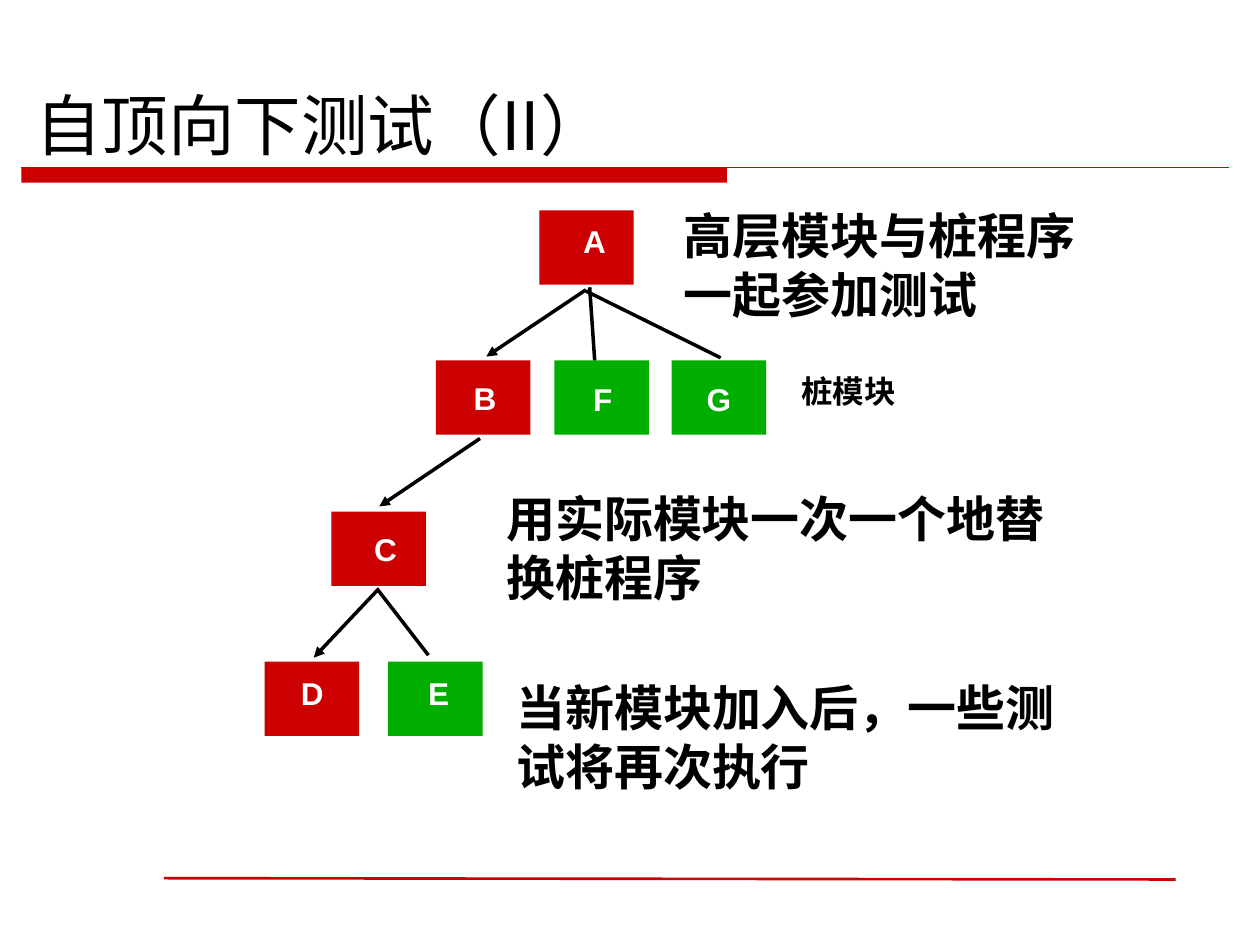
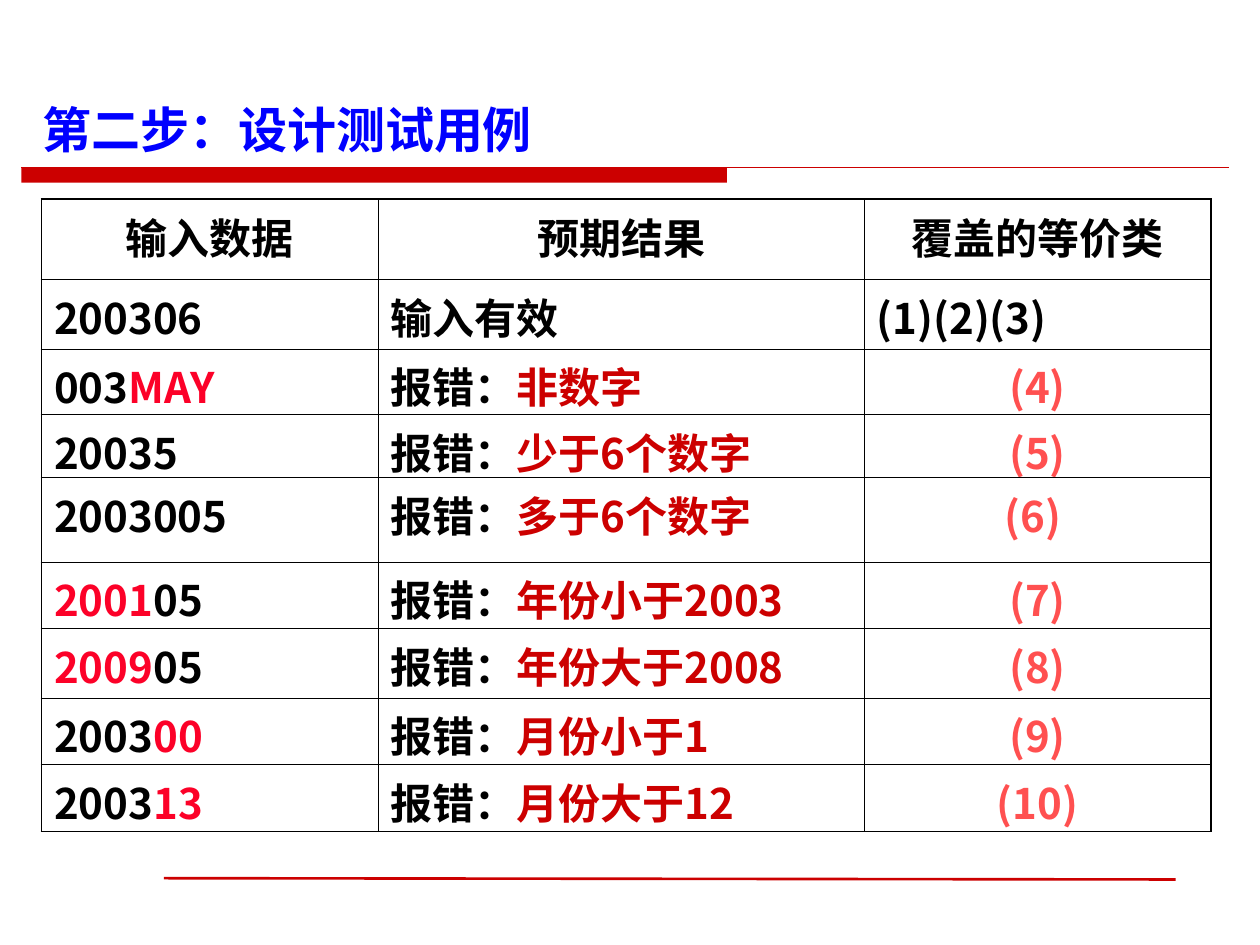
import pptx
import pptx.dml.color
import pptx.enum.shapes
import pptx.enum.text
import pptx.oxml
import pptx.oxml.ns
import pptx.util
from pptx.util import Inches

ALIGN = pptx.enum.text.PP_ALIGN
ANCHOR = pptx.enum.text.MSO_ANCHOR
RECT = pptx.enum.shapes.MSO_SHAPE.RECTANGLE
STRAIGHT = pptx.enum.shapes.MSO_CONNECTOR.STRAIGHT

RED, GREEN, BLUE = "CC0000", "00AE00", "0000FF"
BLACK, WHITE = "000000", "FFFFFF"
BRIGHT, CORAL = "FC0128", "FF5050"
SANS, NOTO, COMIC = "Arial", "Noto Sans CJK SC", "Comic Neue"


def shade(code):
    return pptx.dml.color.RGBColor.from_string(code)


def node(tag, inner="", **attrs):
    words = "".join(f' {key}="{val}"' for key, val in attrs.items())
    space = pptx.oxml.ns.nsdecls("a")
    return pptx.oxml.parse_xml(f"<a:{tag} {space}{words}>{inner}</a:{tag}>")


def write(frame, parts, size=18, font=SANS, color=BLACK, bold=True, align=ALIGN.LEFT):
    """Fill a frame with one string or a list of (text, format) runs."""
    para = frame.paragraphs[0]
    para.alignment = align
    if isinstance(parts, str):
        parts = [(parts, {})]
    for text, own in parts:
        run = para.add_run()
        run.text = text
        run.font.size = pptx.util.Pt(size)
        run.font.bold = bold
        run.font.name = own.get("font", font)
        run.font.color.rgb = shade(own.get("color", color))


class Deck:
    """Holds the shared style and the current slide."""

    def __init__(self):
        self.show = pptx.Presentation()
        self.show.slide_width, self.show.slide_height = Inches(10), Inches(7.5)

    def page(self, title, box, **style):
        self.slide = self.show.slides.add_slide(self.show.slide_layouts[6])
        self.block(0.17, 1.33, 5.6, 0.12, RED)
        self.line((0.17, 1.33), (9.75, 1.33), RED, 0.75)
        self.line((1.3, 6.97), (9.33, 6.98), RED, 1.5)
        self.text(title, *box, anchor=ANCHOR.BOTTOM, font=NOTO, **style)

    def block(self, x, y, w, h, color):
        shape = self.slide.shapes.add_shape(RECT, Inches(x), Inches(y), Inches(w), Inches(h))
        shape.shadow.inherit = False
        shape.fill.solid()
        shape.fill.fore_color.rgb = shade(color)
        shape.line.fill.background()

    def line(self, start, end, color=BLACK, width=2, arrow=False):
        ends = [Inches(v) for v in (*start, *end)]
        link = self.slide.shapes.add_connector(STRAIGHT, *ends)
        link.line.color.rgb = shade(color)
        link.line.width = pptx.util.Pt(width)
        if arrow:
            link.line._get_or_add_ln().append(node("tailEnd", type="triangle"))
        link._element.spPr.append(node("effectLst"))

    def text(self, parts, x, y, w, h, wrap=True, anchor=ANCHOR.TOP, **style):
        box = self.slide.shapes.add_textbox(Inches(x), Inches(y), Inches(w), Inches(h))
        frame = box.text_frame
        frame.word_wrap = wrap
        frame.vertical_anchor = anchor
        write(frame, parts, **style)

    def table(self, x, y, widths, heights, rows):
        high, wide = len(heights), len(widths)
        frame = self.slide.shapes.add_table(
            high, wide, Inches(x), Inches(y), Inches(sum(widths)), Inches(sum(heights)))
        grid = frame.table
        for col, width in zip(grid.columns, widths):
            col.width = Inches(width)
        for row, height in zip(grid.rows, heights):
            row.height = Inches(height)
        for i, row in enumerate(rows):
            for j, (parts, style) in enumerate(row):
                cell = grid.cell(i, j)
                cell.fill.background()
                cell.margin_left = cell.margin_right = Inches(0.1)
                write(cell.text_frame, parts, size=24, **style)
                outer = {"L": j == 0, "R": j == wide - 1, "T": i == 0, "B": i == high - 1}
                self.frame(cell, outer)

    def frame(self, cell, outer):
        props = cell._tc.get_or_add_tcPr()
        fill = f'<a:solidFill><a:srgbClr val="{BLACK}"/></a:solidFill>'
        for spot, (side, edge) in enumerate(outer.items()):
            width = pptx.util.Pt(1.08 if edge else 0.45)
            props.insert(spot, node("ln" + side, fill, w=int(width)))


def tree(deck):
    deck.page("自顶向下测试（II）", (0.18, 0.52, 6.73, 0.83), size=38, bold=False)
    blocks = [
        ("A", 4.28, 1.67, RED, 4.53, 1.71), ("B", 3.46, 2.86, RED, 3.66, 2.96),
        ("C", 2.63, 4.06, RED, 2.87, 4.16), ("D", 2.1, 5.25, RED, 2.29, 5.3),
        ("E", 3.08, 5.25, GREEN, 3.3, 5.3), ("F", 4.4, 2.86, GREEN, 4.61, 2.97),
        ("G", 5.33, 2.86, GREEN, 5.51, 2.97),
    ]
    for name, x, y, color, left, top in blocks:
        deck.block(x, y, 0.75, 0.59, color)
        deck.text(name, left, top, 0.38, 0.4, wrap=False, color=WHITE)
    for start, end, arrow in [
        ((2.99, 4.67), (3.4, 5.2), False), ((4.68, 2.28), (4.72, 2.86), False),
        ((4.65, 2.31), (5.72, 2.84), False), ((4.65, 2.3), (3.86, 2.83), True),
        ((3.81, 3.48), (3.01, 4.02), True), ((2.99, 4.69), (2.49, 5.22), True),
    ]:
        deck.line(start, end, arrow=arrow)
    for note, x, y, width in [
        ("高层模块与桩程序一起参加测试", 5.33, 1.58, 3.33),
        ("用实际模块一次一个地替换桩程序", 3.92, 3.83, 4.83),
        ("当新模块加入后，一些测试将再次执行", 4, 5.33, 4.67),
    ]:
        deck.text(note, x, y, width, 1.03, size=28)
    deck.text("桩模块", 6.26, 2.9, 0.95, 0.4, wrap=False)


def cases(deck):
    deck.page("第二步：设计测试用例", (0.24, 0.75, 9.76, 0.56), size=28, color=BLUE)
    plain = {"font": NOTO}
    head = {"font": COMIC, "align": ALIGN.CENTER}
    mark = {"font": NOTO, "color": CORAL, "align": ALIGN.CENTER}
    bad = {"color": BRIGHT}
    rows = [
        [(name, head) for name in ("输入数据", "预期结果", "覆盖的等价类")],
        [(name, plain) for name in ("200306", "输入有效", "(1)(2)(3)")],
    ]
    for data, fault, group in [
        ([("003", {}), ("MAY", bad)], "非数字 ", "(4)"),
        ("20035", "少于6个数字", "(5)"),
        ("2003005", "多于6个数字", "(6) "),
        ([("2001", bad), ("05", {})], "年份小于2003 ", "(7)"),
        ([("2009", bad), ("05", {})], "年份大于2008", "(8)"),
        ([("2003", {}), ("00", bad)], "月份小于1", "(9)"),
        ([("2003", {}), ("13", bad)], "月份大于12", "(10)"),
    ]:
        error = [("报错：", {"font": COMIC}), (fault, {"color": RED})]
        rows.append([(data, plain), (error, plain), (group, mark)])
    heights = [0.64, 0.55, 0.52, 0.5, 0.67, 0.53, 0.55, 0.53, 0.53]
    deck.table(0.33, 1.58, [2.67, 3.86, 2.75], heights, rows)


def main():
    deck = Deck()
    tree(deck)
    cases(deck)
    deck.show.save("out.pptx")


if __name__ == "__main__":
    main()
